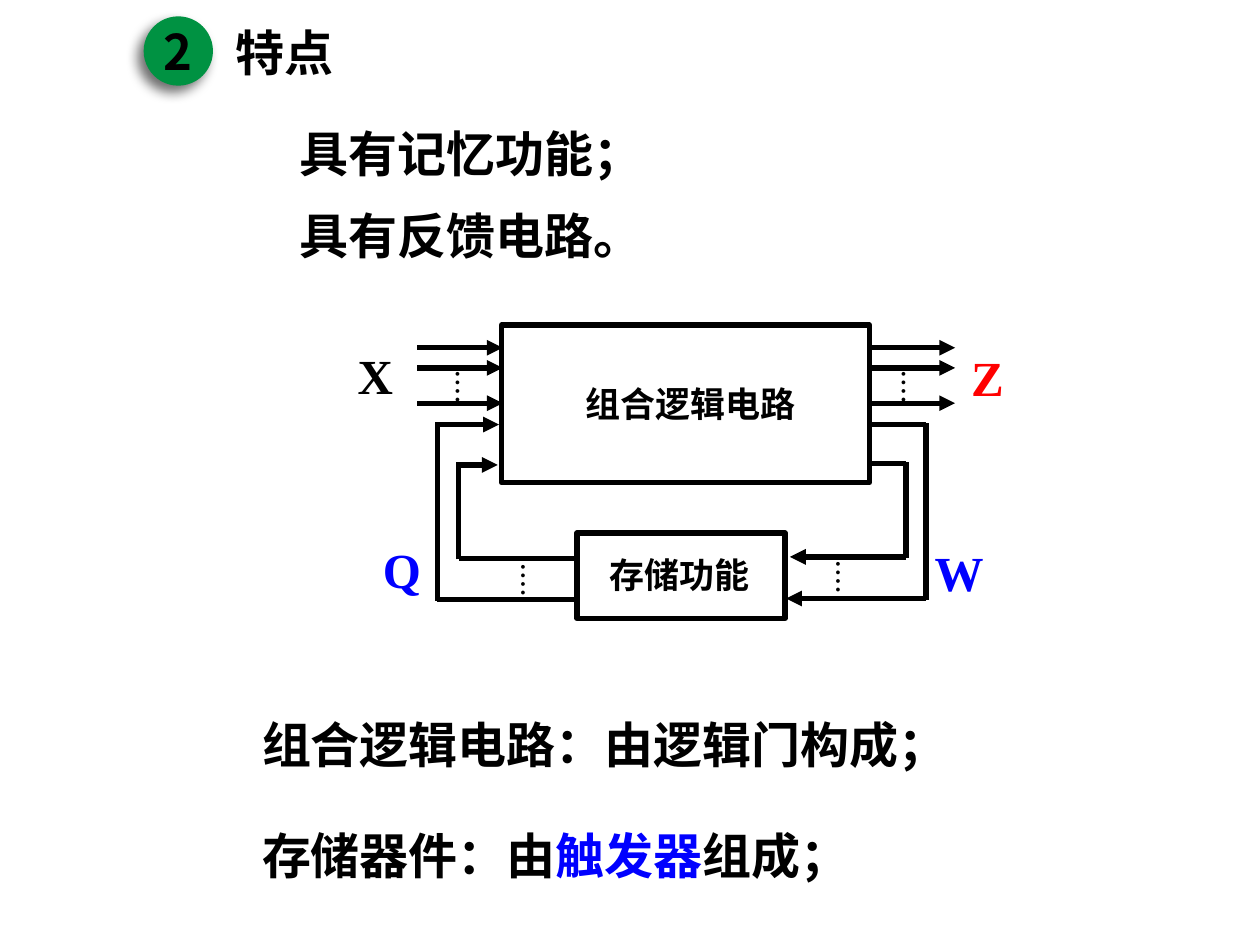
import pptx
import pptx.util
import pptx.dml.color
import pptx.enum.lang
import pptx.enum.shapes
import pptx.enum.text
import pptx.oxml.ns
from lxml import etree

Inches = pptx.util.Inches
Pt = pptx.util.Pt
qn = pptx.oxml.ns.qn
BLACK, BLUE, RED, GREEN = "000000", "0000FF", "FF0000", "009242"
HAN, LATIN, SERIF = "Noto Sans CJK SC", "Calibri", "Times New Roman"


def colour(value):
    return pptx.dml.color.RGBColor.from_string(value)


class Page:
    """Holds the current slide and the style of its elements."""

    size = 28
    stroke = Pt(3)

    def __init__(self, slide):
        self.slide = slide
        self.shapes = slide.shapes

    def style(self, para, size, face, ink, bold):
        para.font.size = Pt(size)
        para.font.name = face
        para.font.bold = bold
        para.font.color.rgb = colour(ink)
        asian = etree.SubElement(para._p.pPr.find(qn("a:defRPr")), qn("a:ea"))
        asian.set("typeface", face)

    def set_text(self, box, lines, size=size, face=LATIN, ink=BLACK, bold=True,
                 wrap=True, spacing=1.0, align="LEFT", anchor="TOP"):
        """Each line is a list of (text, colour) spans; None keeps the ink."""
        frame = box.text_frame
        frame.word_wrap = wrap
        frame.auto_size = pptx.enum.text.MSO_AUTO_SIZE.NONE
        frame.vertical_anchor = getattr(pptx.enum.text.MSO_ANCHOR, anchor)
        for index, spans in enumerate(lines):
            para = frame.add_paragraph() if index else frame.paragraphs[0]
            para.alignment = getattr(pptx.enum.text.PP_ALIGN, align)
            para.line_spacing = spacing
            para.space_before = Pt(13 if index else 0)
            if box.is_placeholder:
                props = para._p.get_or_add_pPr()
                props.set("marL", "0")
                props.set("indent", "0")
                etree.SubElement(props, qn("a:buNone"))
            self.style(para, size, face, ink, bold)
            for text, accent in spans:
                span = para.add_run()
                span.text = text
                span.font.language_id = (
                    pptx.enum.lang.MSO_LANGUAGE_ID.SIMPLIFIED_CHINESE)
                if accent:
                    span.font.color.rgb = colour(accent)

    def placeholder(self, index, place, lines, **style):
        box = self.slide.placeholders[index]
        box.left, box.top, box.width, box.height = map(Inches, place)
        self.set_text(box, lines, **style)

    def label(self, place, text, **style):
        box = self.shapes.add_textbox(*map(Inches, place))
        self.set_text(box, [[(text, None)]], **style)

    def block(self, place):
        box = self.shapes.add_shape(
            pptx.enum.shapes.MSO_SHAPE.RECTANGLE, *map(Inches, place))
        box.shadow.inherit = False
        box.fill.background()
        box.line.color.rgb = colour(BLACK)
        box.line.width = self.stroke

    def badge(self, place, text):
        box = self.shapes.add_shape(
            pptx.enum.shapes.MSO_SHAPE.OVAL, *map(Inches, place))
        box.fill.solid()
        box.fill.fore_color.rgb = colour(GREEN)
        box.line.fill.background()
        box.shadow.inherit = False
        effects = box._element.spPr.find(qn("a:effectLst"))
        shadow = etree.SubElement(
            effects, qn("a:outerShdw"), blurRad=str(Pt(7)), dist=str(Pt(5)),
            dir=str(135 * 60000), algn="tr", rotWithShape="0")
        tint = etree.SubElement(shadow, qn("a:srgbClr"), val=BLACK)
        etree.SubElement(tint, qn("a:alpha"), val="57000")
        self.set_text(box, [[(text, None)]], face=HAN, wrap=False,
                      align="CENTER", anchor="MIDDLE")

    def wire(self, x1, y1, x2, y2, arrow=False):
        wire = self.shapes.add_connector(
            pptx.enum.shapes.MSO_CONNECTOR.STRAIGHT,
            *map(Inches, (x1, y1, x2, y2)))
        wire.line.color.rgb = colour(BLACK)
        wire.line.width = self.stroke
        props = wire._element.spPr
        if arrow:
            etree.SubElement(props.find(qn("a:ln")), qn("a:tailEnd"),
                             type="triangle")
        etree.SubElement(props, qn("a:effectLst"))


def main():
    deck = pptx.Presentation()
    deck.slide_width, deck.slide_height = Inches(10), Inches(7.5)
    page = Page(deck.slides.add_slide(deck.slide_layouts[3]))

    # Heading
    page.badge((1.14, 0.13, 0.55, 0.55), "2")
    page.placeholder(0, (1.77, 0.13, 0.99, 0.57), [[("特点", None)]],
                     wrap=False)

    # Features above the diagram, explanations below it
    page.placeholder(1, (2.28, 0.93, 4.65, 1.28),
                     [[("具有记忆功能；", None)], [("具有反馈电路。", None)]])
    page.placeholder(2, (1.98, 5.39, 6.56, 1.67),
                     [[("组合逻辑电路：由逻辑门构成；", None)],
                      [("存储器件：由", None), ("触发器", BLUE),
                       ("组成；", None)]], spacing=1.5)

    # Circuit blocks
    page.block((3.98, 2.58, 2.92, 1.25))
    page.label((4.55, 2.99, 1.97, 0.44), "组合逻辑电路", size=20)
    page.block((4.58, 4.23, 1.65, 0.68))
    page.label((4.74, 4.34, 1.61, 0.44), "存储功能", size=20)

    # Inputs X and outputs Z
    for y in (2.76, 2.92, 3.2):
        for x in (3.31, 6.9):
            page.wire(x, y, x + 0.68, y, arrow=True)

    # Feedback Q: out of storage, up, into the logic
    for x, top, bottom, end in ((3.47, 3.37, 4.76, 3.96),
                                (3.64, 3.69, 4.43, 3.95)):
        page.wire(4.6, bottom, x, bottom)
        page.wire(x, bottom + 0.01, x, top - 0.02)
        page.wire(x, top, end, top, arrow=True)

    # Drive W: out of the logic, down, into storage
    for x, top, bottom, end in ((7.35, 3.37, 4.75, 6.24),
                                (7.19, 3.68, 4.42, 6.27)):
        page.wire(6.9, top, x, top)
        page.wire(x, top - 0.01, x, bottom + 0.01)
        page.wire(x, bottom, end, bottom, arrow=True)

    # Signal names
    for name, x, y, ink in (("X", 2.74, 2.69, BLACK), ("Q", 2.94, 4.23, BLUE),
                            ("Z", 7.61, 2.71, RED), ("W", 7.32, 4.26, BLUE)):
        page.label((x, y, 0.66, 0.57), name, face=SERIF, ink=ink)

    # Dots between parallel wires
    for x, y in ((7.04, 2.85), (3.5, 2.85), (4.02, 4.38), (6.52, 4.36)):
        page.label((x, y, 0.27, 0.4), "⁞", size=18, bold=False, wrap=False)

    deck.save("out.pptx")


if __name__ == "__main__":
    main()
